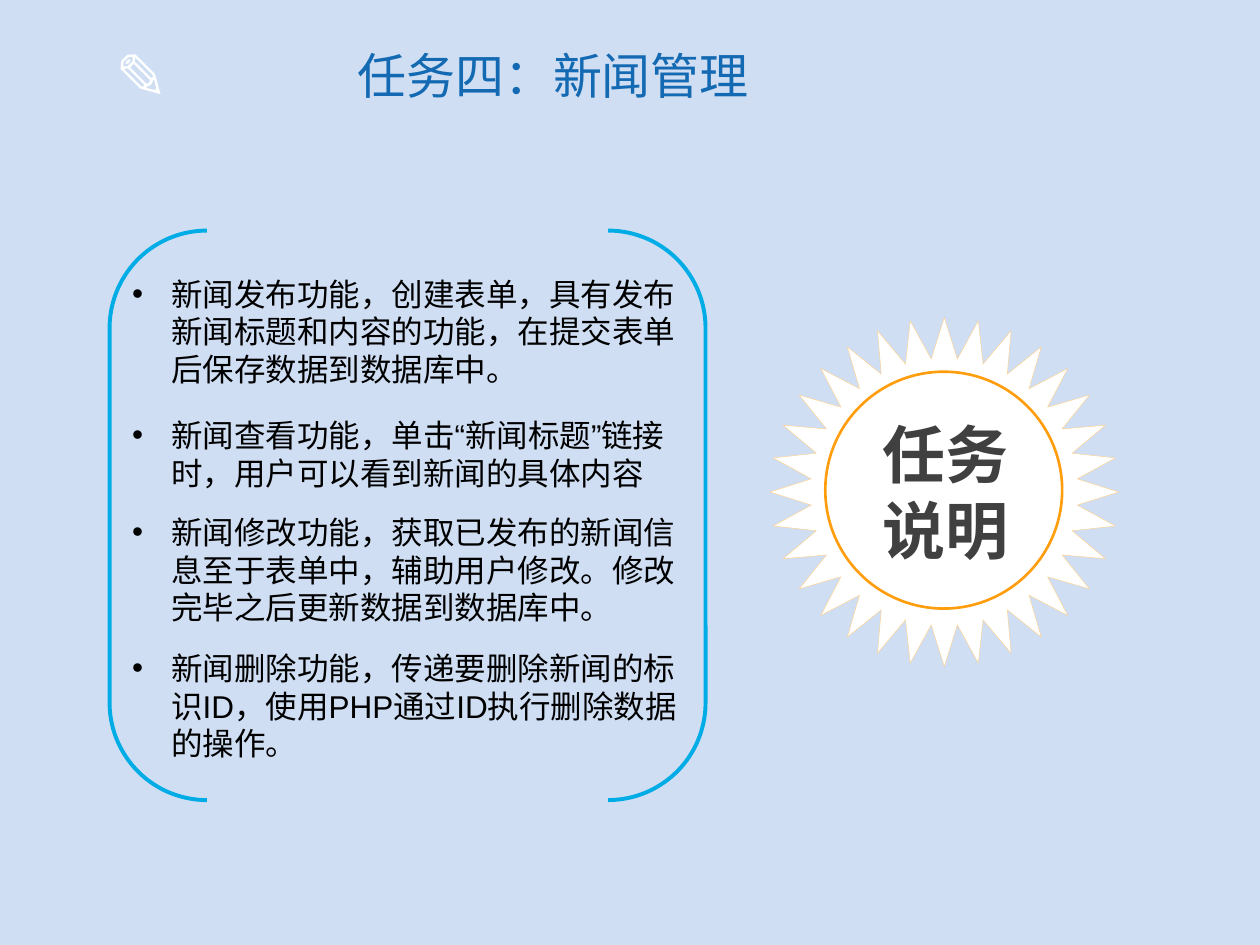
import math

import pptx
import pptx.dml.color
import pptx.enum.shapes
import pptx.enum.text
import pptx.oxml
import pptx.oxml.ns
import pptx.util
from pptx.util import Inches

COLORS = {
    "background": "CFDEF3",
    "title": "1369B2",
    "bracket": "00ACE6",
    "ring": "FF9D0D",
    "burst_edge": "FFD08B",
    "label": "404040",
    "body": "000000",
    "white": "FFFFFF",
}
SANS = "Noto Sans CJK SC"
ARIAL = "Arial"
TASKS = [
    (2.13, 1.0, "新闻发布功能，创建表单，具有发布新闻标题和内容的功能，在提交表单后保存数据到数据库中。"),
    (3.25, 0.7, "新闻查看功能，单击“新闻标题”链接时，用户可以看到新闻的具体内容"),
    (4.02, 1.0, "新闻修改功能，获取已发布的新闻信息至于表单中，辅助用户修改。修改完毕之后更新数据到数据库中。"),
    (5.1, 1.0, "新闻删除功能，传递要删除新闻的标识ID，使用PHP通过ID执行删除数据的操作。"),
]


def color(name):
    """Return the named colour as an RGB value."""
    return pptx.dml.color.RGBColor.from_string(COLORS[name])


def add_text(page, box, lines, font, size, tint, bold=False, wrap=False, middle=False):
    """Add a text box with one paragraph per line and return its paragraphs."""
    frame = page.shapes.add_textbox(*map(Inches, box)).text_frame
    frame.word_wrap = wrap
    anchor = pptx.enum.text.MSO_ANCHOR
    frame.vertical_anchor = anchor.MIDDLE if middle else anchor.TOP
    for index, line in enumerate(lines):
        para = frame.add_paragraph() if index else frame.paragraphs[0]
        span = para.add_run()
        span.text = line
        span.font.name = font
        span.font.size = pptx.util.Pt(size)
        span.font.bold = bold
        span.font.color.rgb = color(tint)
        east = pptx.oxml.parse_xml(f'<a:ea {pptx.oxml.ns.nsdecls("a")} typeface="{font}"/>')
        span.font._element.find(pptx.oxml.ns.qn("a:latin")).addnext(east)
    return frame.paragraphs


def style_outline(shape, tint, width):
    """Give a shape an outline and no shadow."""
    shape.shadow.inherit = False
    shape.line.color.rgb = color(tint)
    shape.line.width = pptx.util.Pt(width)


def add_bullet(para):
    """Put a round bullet with a hanging indent on a paragraph."""
    props = para._p.get_or_add_pPr()
    props.set("marL", str(Inches(0.31)))
    props.set("indent", str(-Inches(0.31)))
    names = pptx.oxml.ns.nsdecls("a")
    for part in (
        f'<a:buClr {names}><a:srgbClr val="{COLORS["body"]}"/></a:buClr>',
        f'<a:buFont {names} typeface="{ARIAL}"/>',
        f'<a:buChar {names} char="•"/>',
    ):
        props.append(pptx.oxml.parse_xml(part))


def add_header(page, left, top):
    """Add the pencil mark and the centred title."""
    add_text(page, (left, top + 0.07, 0.73, 0.7), ["✎"], SANS, 36, "white", bold=True)
    box = (left + 0.99, top, 5.16, 0.85)
    title = add_text(page, box, ["任务四：新闻管理"], SANS, 28, "title", wrap=True, middle=True)
    title[0].alignment = pptx.enum.text.PP_ALIGN.CENTER


def add_task_list(page, left, top, width, height):
    """Add the bracket pair and the bulleted tasks inside it."""
    kind = pptx.enum.shapes.MSO_SHAPE.DOUBLE_BRACKET
    bracket = page.shapes.add_shape(kind, *map(Inches, (left, top, width, height)))
    bracket.adjustments[0] = 0.171
    bracket.fill.background()
    style_outline(bracket, "bracket", 2.25)
    for task_top, task_height, words in TASKS:
        box = (left + 0.08, task_top, width - 0.16, task_height)
        paras = add_text(page, box, [words], ARIAL, 18, "body", wrap=True, middle=True)
        add_bullet(paras[0])


def add_badge(page, left, top, size):
    """Add the 32-point burst with its ring and two-line label."""
    outer, inner, tips = size / 2, 1.06, 32
    center_x, center_y = left + outer, top + outer
    points = []
    for step in range(tips * 2):
        radius = inner if step % 2 else outer
        angle = math.pi * (1 - step / tips)
        points.append((
            Inches(center_x + radius * math.cos(angle)),
            Inches(center_y + radius * math.sin(angle)),
        ))
    builder = page.shapes.build_freeform(*points[0])
    builder.add_line_segments(points[1:], close=True)
    burst = builder.convert_to_shape()
    burst.fill.solid()
    burst.fill.fore_color.rgb = color("white")
    style_outline(burst, "burst_edge", 0.25)

    ring_box = map(Inches, (left + 0.44, top + 0.43, 1.88, 1.88))
    ring = page.shapes.add_shape(pptx.enum.shapes.MSO_SHAPE.OVAL, *ring_box)
    ring.fill.background()
    style_outline(ring, "ring", 1.5)
    label_box = (left + 0.8, top + 0.73, 1.2, 1.3)
    add_text(page, label_box, ["任务", "说明"], ARIAL, 36, "label", bold=True)


def main():
    """Build the slide and save the deck."""
    deck = pptx.Presentation()
    deck.slide_width, deck.slide_height = Inches(10), Inches(7.5)
    page = deck.slides.add_slide(deck.slide_layouts[6])
    page.background.fill.solid()
    page.background.fill.fore_color.rgb = color("background")
    add_header(page, 0.82, 0.17)
    add_task_list(page, 0.87, 1.83, 4.73, 4.52)
    add_badge(page, 6.11, 2.52, 2.77)
    deck.save("out.pptx")


if __name__ == "__main__":
    main()
